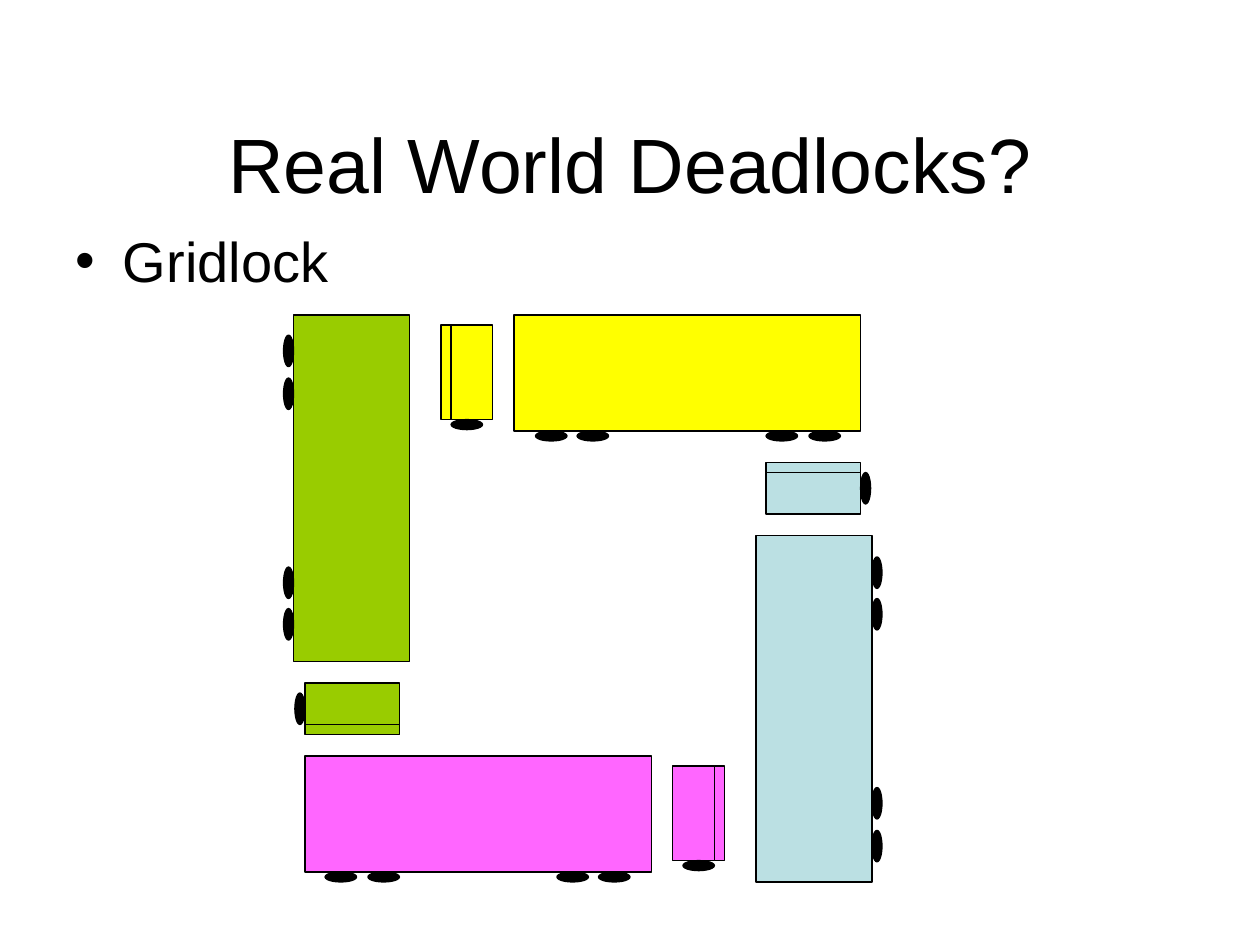
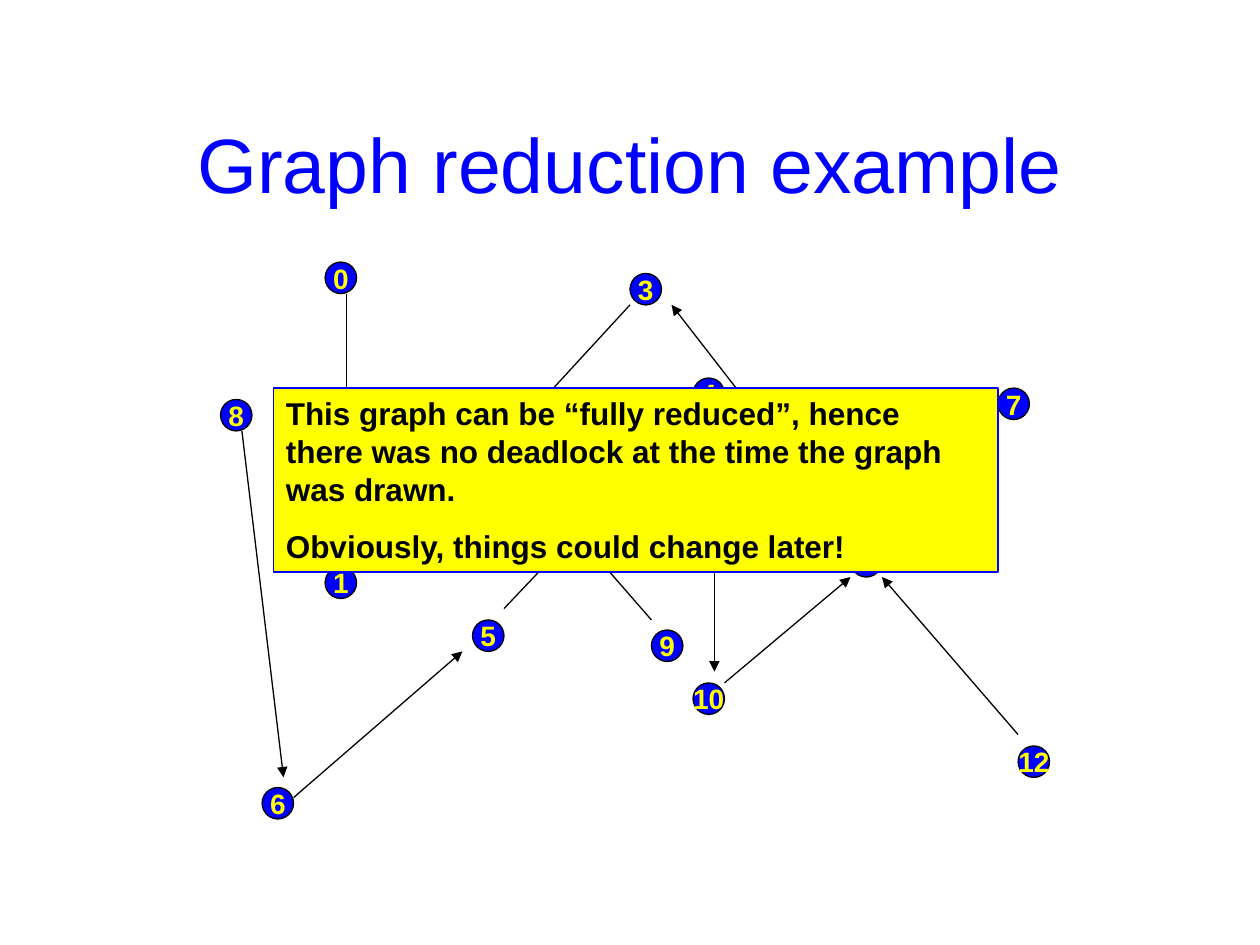
from lxml.etree import SubElement
from pptx import Presentation
from pptx.dml.color import RGBColor
from pptx.enum.shapes import MSO_CONNECTOR as Link, MSO_SHAPE as Form
from pptx.enum.text import MSO_ANCHOR as Anchor, MSO_AUTO_SIZE as Fit, PP_ALIGN as Align
from pptx.oxml.ns import qn
from pptx.util import Inches, Pt

BLACK, BLUE, YELLOW = "000000", "0000FF", "FFFF00"
TITLE_AND_BODY, TITLE_ONLY = 1, 5

TRAILER = (0.58, 0, 2.75, 0.92)
CAB = (0.08, 0.08, 0.33, 0.75)
BUMPER = (0, 0.08, 0.08, 0.75)
WHEELS = [(0.08, 0.83), (0.75, 0.92), (1.08, 0.92), (2.58, 0.92), (2.92, 0.92)]
WHEEL_SIZE = (0.25, 0.08)

TRUCKS = [
    ((3.5, 2.5), (1, 0), (0, 1), YELLOW),
    ((5.75, 6), (-1, 0), (0, 1), "FF66FF"),
    ((3.25, 5.83), (0, -1), (-1, 0), "99CC00"),
    ((6, 3.67), (0, 1), (1, 0), "BBE0E3"),
]

NODE_SIZE = 0.25
NODES = {
    "0": (2.58, 2.08), "1": (2.58, 4.5), "3": (5, 2.17), "4": (5.5, 3),
    "5": (3.75, 4.92), "6": (2.08, 6.25), "7": (7.92, 3.08), "8": (1.75, 3.17),
    "9": (5.17, 5), "10": (5.5, 5.42), "11": (6.75, 4.33), "12": (8.08, 5.92),
}
WAITS = [
    ((5.75, 5.42), (6.75, 4.58)), ((7.92, 3.33), (7, 4.33)),
    ((8.08, 5.83), (7, 4.58)), ((5.67, 3.25), (5.67, 5.33)),
    ((4, 4.83), (5.5, 3.25)), ((1.92, 3.42), (2.25, 6.17)),
    ((2.33, 6.33), (3.67, 5.17)), ((5, 2.42), (4.08, 3.42)),
    ((5.17, 4.92), (4.08, 3.67)), ((2.75, 2.33), (2.75, 4.42)),
    ((6.75, 4.25), (5.33, 2.42)),
]
CONCLUSION = [
    "This graph can be “fully reduced”, hence there was no deadlock "
    "at the time the graph was drawn.",
    "Obviously, things could change later!",
]


def rgb(color):
    return RGBColor.from_string(color)


class Deck:
    font = "Arial"
    line_width = Pt(0.75)

    def __init__(self):
        self.presentation = Presentation()
        self.presentation.slide_width = Inches(10)
        self.presentation.slide_height = Inches(7.5)
        self.slide = None

    def new_slide(self, layout, title, color):
        layouts = self.presentation.slide_layouts
        self.slide = self.presentation.slides.add_slide(layouts[layout])
        heading = self.slide.shapes.title
        self.place(heading, 0.75, 0.67, 8.5, 1.25)
        heading.text_frame.vertical_anchor = Anchor.MIDDLE
        self.add_text(heading.text_frame, [title], 44, color, align=Align.CENTER)

    def place(self, holder, left, top, width, height):
        holder.left, holder.top = Inches(left), Inches(top)
        holder.width, holder.height = Inches(width), Inches(height)

    def add_text(self, frame, lines, size, color, bold=False, align=Align.LEFT, gap=0):
        frame.auto_size = Fit.NONE
        for index, line in enumerate(lines):
            paragraph = frame.add_paragraph() if index else frame.paragraphs[0]
            paragraph.alignment = align
            paragraph.space_before = Pt(gap if index else 0)
            run = paragraph.add_run()
            run.text = line
            run.font.name, run.font.size, run.font.bold = self.font, Pt(size), bold
            run.font.color.rgb = rgb(color)

    def bullets(self, lines):
        body = self.slide.placeholders[1]
        self.place(body, 0.5, 1.75, 9, 4.95)
        self.add_text(body.text_frame, lines, 32, BLACK, gap=8)

    def shape(self, form, left, top, width, height, fill, line=BLACK):
        box = map(Inches, (left, top, width, height))
        shape = self.slide.shapes.add_shape(form, *box)
        shape.shadow.inherit = False
        shape.fill.solid()
        shape.fill.fore_color.rgb = rgb(fill)
        shape.line.color.rgb = rgb(line)
        shape.line.width = self.line_width
        return shape

    def truck(self, nose, along, across, color):
        def part(form, start, depth, length, breadth, fill):
            xs, ys = ([nose[axis] + a * along[axis] + b * across[axis]
                       for a, b in ((start, depth), (start + length, depth + breadth))]
                      for axis in (0, 1))
            self.shape(form, min(xs), min(ys), abs(xs[1] - xs[0]), abs(ys[1] - ys[0]), fill)

        for panel in (TRAILER, CAB, BUMPER):
            part(Form.RECTANGLE, *panel, color)
        for wheel in WHEELS:
            part(Form.OVAL, *wheel, *WHEEL_SIZE, BLACK)

    def node(self, label, left, top):
        circle = self.shape(Form.OVAL, left, top, NODE_SIZE, NODE_SIZE, BLUE)
        frame = circle.text_frame
        frame.word_wrap = False
        frame.vertical_anchor = Anchor.MIDDLE
        self.add_text(frame, [label], 16, YELLOW, bold=True, align=Align.CENTER)

    def arrow(self, start, end):
        ends = map(Inches, (*start, *end))
        arrow = self.slide.shapes.add_connector(Link.STRAIGHT, *ends)
        arrow.line.color.rgb = rgb(BLACK)
        arrow.line.width = self.line_width
        properties = arrow._element.spPr
        SubElement(properties.find(qn("a:ln")), qn("a:tailEnd"), type="triangle")
        SubElement(properties, qn("a:effectLst"))

    def note(self, lines):
        note = self.shape(Form.RECTANGLE, 2.17, 3.08, 5.75, 1.46, YELLOW, BLUE)
        frame = note.text_frame
        frame.word_wrap = True
        frame.vertical_anchor = Anchor.TOP
        self.add_text(frame, lines, 18, BLACK, bold=True, gap=11.2)
        frame.auto_size = Fit.SHAPE_TO_FIT_TEXT


def main():
    deck = Deck()

    deck.new_slide(TITLE_AND_BODY, "Real World Deadlocks?", BLACK)
    deck.bullets(["Gridlock"])
    for truck in TRUCKS:
        deck.truck(*truck)

    deck.new_slide(TITLE_ONLY, "Graph reduction example", BLUE)
    for label, corner in NODES.items():
        deck.node(label, *corner)
    for start, end in WAITS:
        deck.arrow(start, end)
    deck.note(CONCLUSION)

    deck.presentation.save("out.pptx")


if __name__ == "__main__":
    main()
